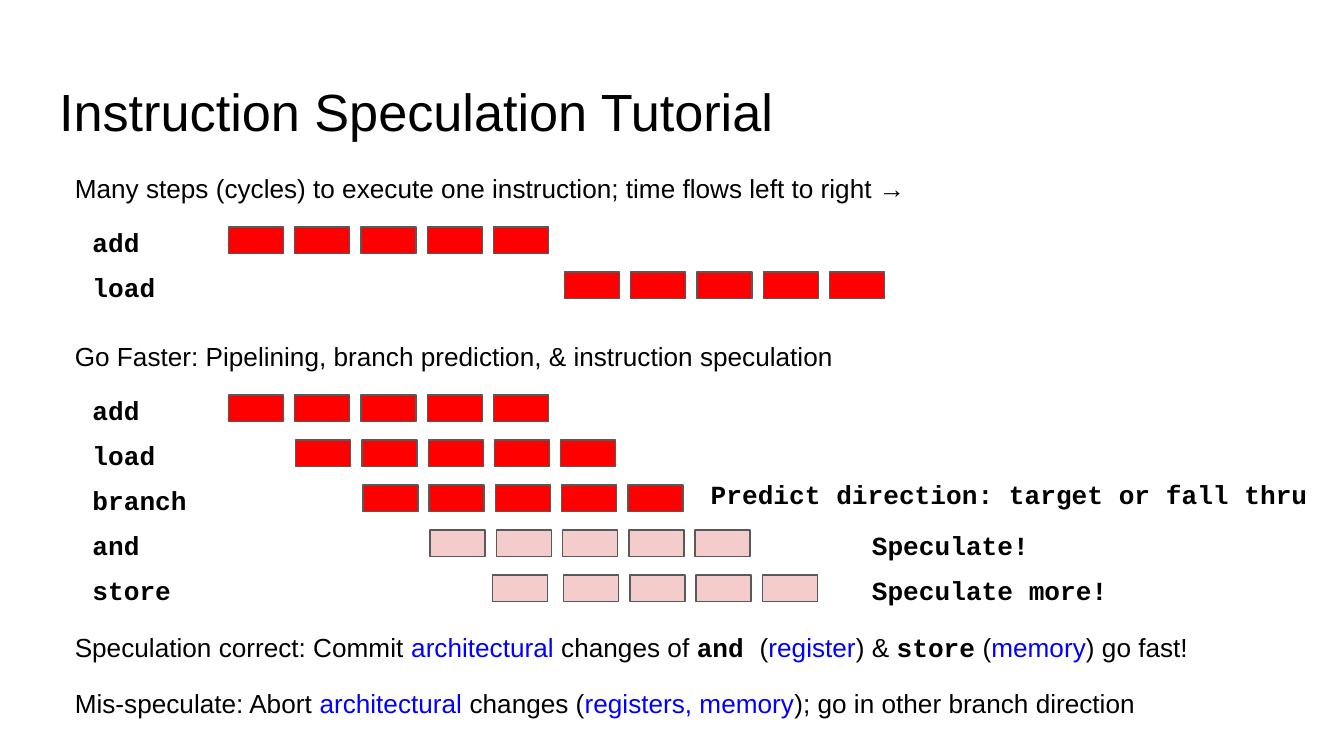
from dataclasses import dataclass

from pptx import Presentation
from pptx import util as u
from pptx.dml.color import RGBColor
from pptx.enum import shapes, text


@dataclass(frozen=True)
class Theme:
    ink: RGBColor = RGBColor(0, 0, 0)
    accent: RGBColor = RGBColor(0, 0, 255)
    certain: RGBColor = RGBColor(255, 0, 0)
    speculative: RGBColor = RGBColor(0xF4, 0xCC, 0xCC)
    outline: RGBColor = RGBColor(0x59, 0x59, 0x59)
    sans: str = "Arial"
    mono: str = "Courier New"
    title_size: int = 28
    text_size: int = 14


class SlideBuilder:
    LABEL_LEFT, LABEL_WIDTH, TEXT_HEIGHT = 42.5, 69, 30.2
    STAGES, STAGE_PITCH, STAGE_WIDTH, STAGE_HEIGHT = 5, 35.5, 29.5, 14.4
    STAGE_DROP = 7.7

    def __init__(self, page, theme):
        self.page = page
        self.theme = theme

    def style(self, font, name, size, bold=False):
        font.name, font.size, font.bold = name, u.Pt(size), bold
        font.color.rgb = self.theme.ink

    def title(self, words, left, top, width, height):
        box = self.page.shapes.title
        box.left, box.top = u.Pt(left), u.Pt(top)
        box.width, box.height = u.Pt(width), u.Pt(height)
        frame = self.frame(box)
        para = frame.paragraphs[0]
        para.alignment = text.PP_ALIGN.LEFT
        para.text = words
        self.style(para.font, self.theme.sans, self.theme.title_size)

    def frame(self, box):
        frame = box.text_frame
        frame.word_wrap = True
        frame.auto_size = text.MSO_AUTO_SIZE.NONE
        frame.vertical_anchor = text.MSO_ANCHOR.TOP
        frame.margin_left = frame.margin_right = u.Pt(7.2)
        frame.margin_top = frame.margin_bottom = u.Pt(7.2)
        return frame

    def paragraph(self, left, top, width):
        box = self.page.shapes.add_textbox(
            u.Pt(left), u.Pt(top), u.Pt(width), u.Pt(self.TEXT_HEIGHT))
        return self.frame(box).paragraphs[0]

    def sentence(self, top, width, *parts):
        """Each part is plain text or a (text, kind) pair, kind 'accent' or 'code'."""
        para = self.paragraph(33, top, width)
        self.style(para.font, self.theme.sans, self.theme.text_size)
        for part in parts:
            words, kind = (part, None) if isinstance(part, str) else part
            span = para.add_run()
            span.text = words
            if kind == "accent":
                span.font.color.rgb = self.theme.accent
            elif kind == "code":
                span.font.name, span.font.bold = self.theme.mono, True

    def code(self, words, left, top, width):
        para = self.paragraph(left, top, width)
        para.text = words
        self.style(para.font, self.theme.mono, self.theme.text_size, bold=True)

    def stage(self, left, top, fill):
        box = self.page.shapes.add_shape(
            shapes.MSO_SHAPE.RECTANGLE, u.Pt(left), u.Pt(top),
            u.Pt(self.STAGE_WIDTH), u.Pt(self.STAGE_HEIGHT))
        box.shadow.inherit = False
        box.fill.solid()
        box.fill.fore_color.rgb = fill
        box.line.color.rgb = self.theme.outline
        box.line.width = u.Pt(0.75)

    def instruction(self, name, top, start, fill, lead=0):
        """Label and pipeline stages; lead moves the first stage further left."""
        self.code(name, self.LABEL_LEFT, top, self.LABEL_WIDTH)
        for index in range(self.STAGES):
            left = start + index * self.STAGE_PITCH - (0 if index else lead)
            self.stage(left, top + self.STAGE_DROP, fill)


def main():
    deck = Presentation()
    deck.slide_width, deck.slide_height = u.Pt(720), u.Pt(405)
    page = deck.slides.add_slide(deck.slide_layouts[5])
    theme = Theme()
    slide = SlideBuilder(page, theme)
    row_pitch, first_start, cycle = 24.1, 122.4, 36

    slide.title("Instruction Speculation Tutorial", 24.5, 35.3, 671, 45.4)

    # One instruction after the other
    slide.sentence(85, 472, "Many steps (cycles) to execute one instruction; "
                            "time flows left to right →")
    for row, name in enumerate(["add", "load"]):
        slide.instruction(name, 113.9 + row * row_pitch,
                          first_start + row * 5 * cycle, theme.certain)

    # Pipelined instructions, the last two speculative
    slide.sentence(175, 472, "Go Faster: Pipelining, branch prediction, "
                             "& instruction speculation")
    pipeline_top = 203.9
    pipeline = [
        ("add", theme.certain, 0),
        ("load", theme.certain, 0),
        ("branch", theme.certain, 0),
        ("and", theme.speculative, 0),
        ("store", theme.speculative, 2.5),
    ]
    for row, (name, fill, lead) in enumerate(pipeline):
        slide.instruction(name, pipeline_top + row * row_pitch,
                          first_start + row * cycle, fill, lead)

    # Remarks beside the pipeline
    slide.code("Predict direction: target or fall thru", 373.7, 249.1, 338)
    for row, remark in ((3, "Speculate!"), (4, "Speculate more!")):
        slide.code(remark, 460, pipeline_top + row * row_pitch, 197)

    # Outcomes
    slide.sentence(331, 620,
                   "Speculation correct: Commit ", ("architectural", "accent"),
                   " changes of ", ("and ", "code"), "(", ("register", "accent"),
                   ") & ", ("store", "code"), " (", ("memory", "accent"),
                   ") go fast!")
    slide.sentence(361, 666,
                   "Mis-speculate: Abort ", ("architectural", "accent"),
                   " changes (", ("registers, memory", "accent"),
                   "); go in other branch direction")

    deck.save("out.pptx")


if __name__ == "__main__":
    main()
